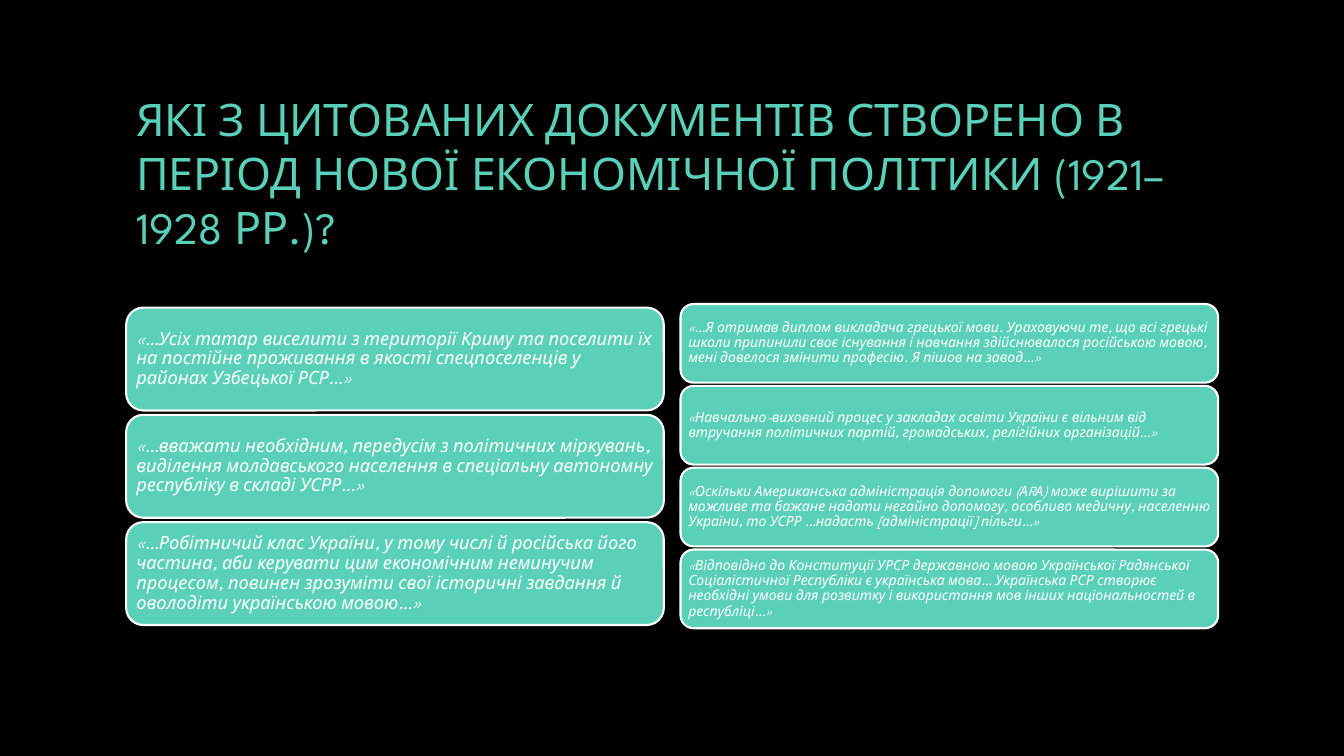
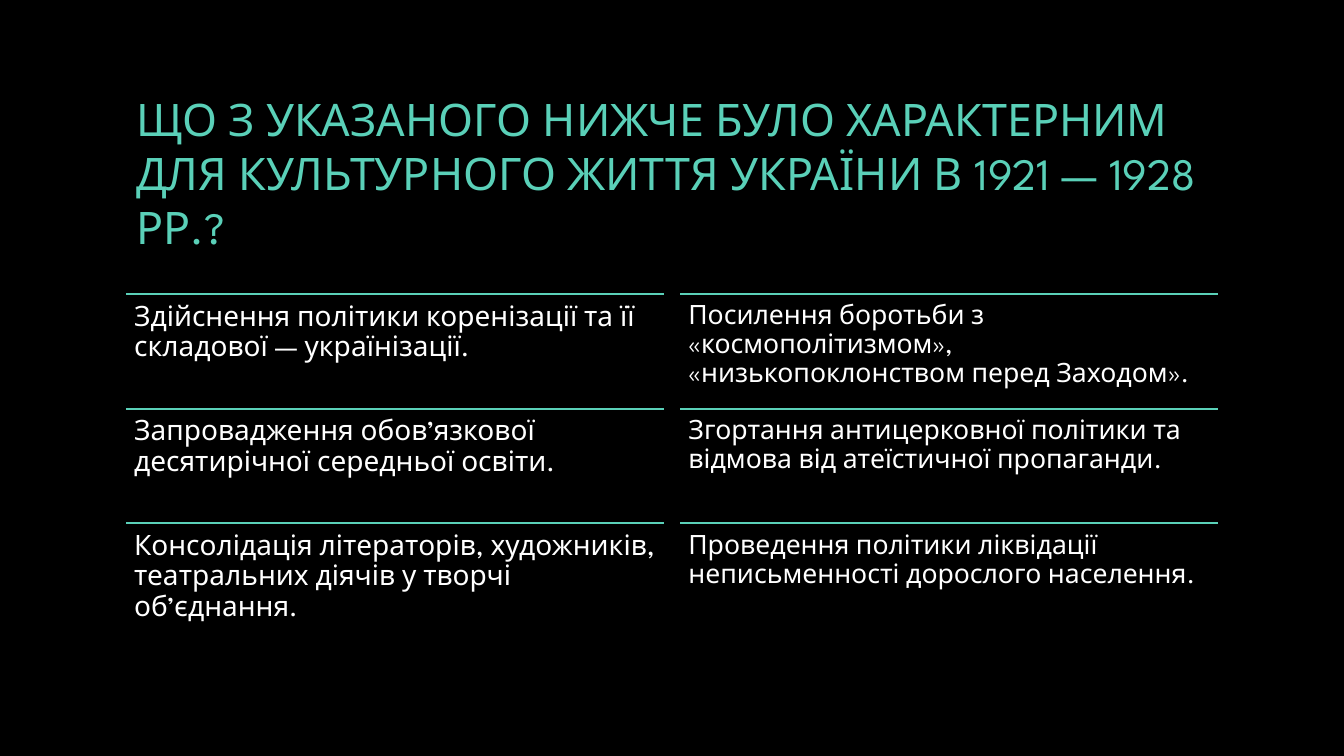
from lxml import etree
from pptx import Presentation
from pptx import util as u
from pptx.dml import color
from pptx.enum import shapes, text
from pptx.oxml import ns

# Shared style
FONT = "League Spartan"
BLACK, MINT, WHITE = "000000", "5AD0B8", "FFFFFF"
LINE_WIDTH = u.Pt(1.5)

# Shared layout, in centimetres
LEFT, RIGHT, COLUMN_WIDTH = 3.18, 17.15, 13.55
TITLE_BOX = (LEFT, 1.7, 27.52, 5.29)

LEFT_QUOTES = [
    "«…Усіх татар виселити з території Криму та поселити їх на постійне проживання "
    "в якості спецпоселенців у районах Узбецької РСР…»",
    "«…вважати необхідним, передусім з політичних міркувань, виділення молдавського "
    "населення в спеціальну автономну республіку в складі УСРР…»",
    "«…Робітничий клас України, у тому числі й російська його частина, аби керувати "
    "цим економічним неминучим процесом, повинен зрозуміти свої історичні завдання "
    "й оволодіти українською мовою…»",
]
RIGHT_QUOTES = [
    "«…Я отримав диплом викладача грецької мови. Ураховуючи те, що всі грецькі школи "
    "припинили своє існування і навчання здійснювалося російською мовою, мені довелося "
    "змінити професію. Я пішов на завод…»",
    "«Навчально-виховний процес у закладах освіти України є вільним від втручання "
    "політичних партій, громадських, релігійних організацій…»",
    "«Оскільки Американська адміністрація допомоги (АRА) може вирішити за можливе та "
    "бажане надати негайно допомогу, особливо медичну, населенню України, то УСРР "
    "…надасть [адміністрації] пільги…»",
    "«Відповідно до Конституції УРСР державною мовою Української Радянської "
    "Соціалістичної Республіки є українська мова… Українська РСР створює необхідні "
    "умови для розвитку і використання мов інших національностей в республіці…»",
]
LEFT_FEATURES = [
    "Здійснення політики коренізації та її складової — українізації.",
    "Запровадження обов’язкової десятирічної середньої освіти.",
    "Консолідація літераторів, художників, театральних діячів у творчі об’єднання.",
]
RIGHT_FEATURES = [
    "Посилення боротьби з «космополітизмом», «низькопоклонством перед Заходом».",
    "Згортання антицерковної політики та відмова від атеїстичної пропаганди.",
    "Проведення політики ліквідації неписьменності дорослого населення.",
]


def rgb(value):
    return color.RGBColor.from_string(value)


def cm(*lengths):
    return [u.Cm(length) for length in lengths]


def write(shape, words, size, ink=WHITE, italic=False, inset=None,
          anchor=text.MSO_ANCHOR.MIDDLE, spacing=0.9):
    frame = shape.text_frame
    frame.word_wrap = True
    frame.vertical_anchor = anchor
    if inset is not None:
        frame.margin_left = frame.margin_right = u.Cm(inset)
        frame.margin_top = frame.margin_bottom = u.Cm(inset)
    paragraph = frame.paragraphs[0]
    paragraph.text = words
    paragraph.alignment = text.PP_ALIGN.LEFT
    paragraph.line_spacing = spacing
    font = paragraph.font
    font.name, font.size, font.italic = FONT, u.Pt(size), italic
    font.color.rgb = rgb(ink)


def add_titled_slide(deck, title):
    slide = deck.slides.add_slide(deck.slide_layouts[6])
    slide.background.fill.solid()
    slide.background.fill.fore_color.rgb = rgb(BLACK)
    heading = slide.shapes.add_textbox(*cm(*TITLE_BOX))
    write(heading, title, 32, ink=MINT, spacing=1.0)
    return slide


def add_quote_cards(slide, box, quotes, gap, size, inset):
    """Stack rounded cards of equal height in the box."""
    left, top, width, height = box
    card_height = (height - gap * (len(quotes) - 1)) / len(quotes)
    for i, quote in enumerate(quotes):
        card = slide.shapes.add_shape(
            shapes.MSO_SHAPE.ROUNDED_RECTANGLE,
            *cm(left, top + i * (card_height + gap), width, card_height))
        card.shadow.inherit = False
        card.fill.solid()
        card.fill.fore_color.rgb = rgb(MINT)
        card.line.color.rgb = rgb(WHITE)
        card.line.width = LINE_WIDTH
        write(card, quote, size, italic=True, inset=inset)


def add_ruled_rows(slide, box, features, size):
    """Split the box into equal rows, each under a rule."""
    left, top, width, height = box
    row_height = height / len(features)
    for i, feature in enumerate(features):
        y = top + i * row_height
        rule = slide.shapes.add_connector(
            shapes.MSO_CONNECTOR.STRAIGHT, *cm(left, y, left + width, y))
        rule.line.color.rgb = rgb(MINT)
        rule.line.width = LINE_WIDTH
        etree.SubElement(rule._element.spPr, ns.qn("a:effectLst"))
        row = slide.shapes.add_textbox(*cm(left, y, width, row_height))
        write(row, feature, size, inset=0.2, anchor=text.MSO_ANCHOR.TOP)


def build_quotes_slide(deck):
    slide = add_titled_slide(
        deck, "ЯКІ З ЦИТОВАНИХ ДОКУМЕНТІВ СТВОРЕНО В ПЕРІОД НОВОЇ "
              "ЕКОНОМІЧНОЇ ПОЛІТИКИ (1921–1928 РР.)?")
    add_quote_cards(slide, (LEFT, 7.75, COLUMN_WIDTH, 8), LEFT_QUOTES,
                    gap=0.11, size=13, inset=0.13)
    add_quote_cards(slide, (RIGHT, 7.66, COLUMN_WIDTH, 8.17), RIGHT_QUOTES,
                    gap=0.08, size=10, inset=0.1)


def build_features_slide(deck):
    slide = add_titled_slide(
        deck, "ЩО З УКАЗАНОГО НИЖЧЕ БУЛО ХАРАКТЕРНИМ ДЛЯ КУЛЬТУРНОГО "
              "ЖИТТЯ УКРАЇНИ В 1921 — 1928 РР.?")
    columns = [(LEFT, LEFT_FEATURES, 20), (RIGHT, RIGHT_FEATURES, 19)]
    for left, features, size in columns:
        add_ruled_rows(slide, (left, 7.41, COLUMN_WIDTH, 8.67), features, size)


def main():
    deck = Presentation()
    deck.slide_width, deck.slide_height = cm(33.87, 19.05)
    build_quotes_slide(deck)
    build_features_slide(deck)
    deck.save("out.pptx")


if __name__ == "__main__":
    main()
